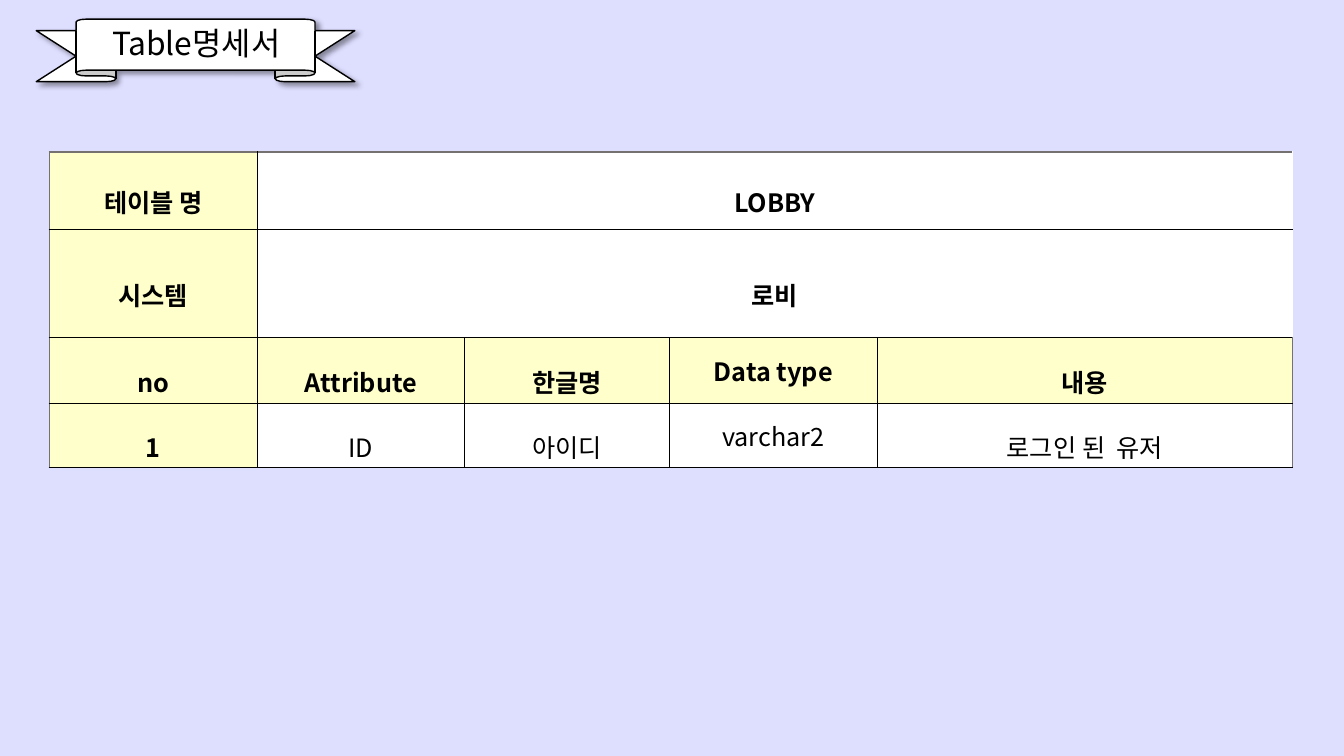
from dataclasses import dataclass

from lxml.etree import SubElement
from pptx import Presentation
from pptx.dml.color import RGBColor as Rgb
from pptx.enum.shapes import MSO_SHAPE as Preset
from pptx.enum.text import MSO_ANCHOR as Anchor, MSO_AUTO_SIZE as AutoSize, PP_ALIGN as Align
from pptx.oxml.ns import qn
from pptx.util import Inches, Pt


@dataclass(frozen=True)
class Theme:
    font: str = "Noto Sans CJK KR"
    title_size: float = 22.7
    cell_size: float = 18
    background: str = "DEDEFF"
    paper: str = "FFFFFF"
    label: str = "FFFFCC"
    ink: str = "000000"
    frame: str = "767171"
    thin: float = 1
    thick: float = 1.5


@dataclass(frozen=True)
class Entry:
    text: str
    label: bool = False
    bold: bool = True
    span: int = 1
    line_spacing: float = 1.6
    margin_y: float = 0.03


THEME = Theme()
COLUMN_WIDTHS = (2.06, 2.06, 2.03, 2.06, 4.12)
ROW_HEIGHTS = (0.77, 1.07, 0.65, 0.64)
LAST_COLUMN = len(COLUMN_WIDTHS) - 1
ROWS = (
    (Entry("테이블 명", label=True), Entry("LOBBY", span=4)),
    (Entry("시스템", label=True), Entry("로비", span=4)),
    (
        Entry("no", label=True),
        Entry("Attribute", label=True),
        Entry("한글명", label=True),
        Entry("Data type", label=True, line_spacing=1.0, margin_y=0.05),
        Entry("내용", label=True),
    ),
    (
        Entry("1", label=True),
        Entry("ID", bold=False),
        Entry("아이디", bold=False),
        Entry("varchar2", bold=False, line_spacing=1.0, margin_y=0.05),
        Entry("로그인 된  유저", bold=False),
    ),
)


def write(paragraph, text: str, size: float, bold: bool = False) -> None:
    paragraph.text = text
    paragraph.alignment = Align.CENTER
    font = paragraph.font
    font.size, font.bold, font.name = Pt(size), bold, THEME.font
    font.color.rgb = Rgb.from_string(THEME.ink)
    # East Asian glyphs take the same typeface
    defaults = paragraph._p.pPr.find(qn("a:defRPr"))
    SubElement(defaults, qn("a:ea"), typeface=THEME.font)


def paint(fill, color: str) -> None:
    fill.solid()
    fill.fore_color.rgb = Rgb.from_string(color)


def add_border(cell, side: str, outer: bool) -> None:
    width = THEME.thick if outer else THEME.thin
    color = THEME.frame if outer else THEME.ink
    properties = cell._tc.get_or_add_tcPr()
    border = SubElement(properties, qn(f"a:ln{side}"), w=str(Pt(width)))
    SubElement(SubElement(border, qn("a:solidFill")), qn("a:srgbClr"), val=color)


def style_cell(cell, row: int, column: int, first: int, last: int, label: bool) -> None:
    # Borders precede the fill in the cell properties
    if column == first:
        add_border(cell, "L", outer=column == 0)
    if column == last:
        add_border(cell, "R", outer=column == LAST_COLUMN)
    add_border(cell, "T", outer=row == 0)
    add_border(cell, "B", outer=False)
    paint(cell.fill, THEME.label if label else THEME.paper)


def add_entry(table, row: int, first: int, entry: Entry) -> None:
    last = first + entry.span - 1
    cell = table.cell(row, first)
    if entry.span > 1:
        cell.merge(table.cell(row, last))
    for column in range(first, last + 1):
        style_cell(table.cell(row, column), row, column, first, last, entry.label)
    cell.vertical_anchor = Anchor.MIDDLE
    cell.margin_left = cell.margin_right = Inches(0.1)
    cell.margin_top = cell.margin_bottom = Inches(entry.margin_y)
    paragraph = cell.text_frame.paragraphs[0]
    paragraph.line_spacing = entry.line_spacing
    write(paragraph, entry.text, THEME.cell_size, entry.bold)


def add_title(slide) -> None:
    # Ribbon with a soft shadow
    ribbon = slide.shapes.add_shape(
        Preset.UP_RIBBON, Inches(0.36), Inches(0.19), Inches(3.16), Inches(0.62))
    ribbon.adjustments[0], ribbon.adjustments[1] = 0.184, 0.75
    paint(ribbon.fill, THEME.paper)
    paint(ribbon.line.fill, THEME.ink)
    ribbon.line.width = Pt(THEME.thin)
    ribbon.shadow.inherit = False
    effects = ribbon._element.spPr.find(qn("a:effectLst"))
    shadow = SubElement(effects, qn("a:outerShdw"), blurRad=str(Pt(4)), dist=str(Pt(3)),
                        dir=str(45 * 60000), algn="tl", rotWithShape="0")
    tint = SubElement(shadow, qn("a:srgbClr"), val=THEME.ink)
    SubElement(tint, qn("a:alpha"), val="40000")

    # Title over the ribbon
    heading = slide.shapes.add_textbox(
        Inches(0.89), Inches(0.17), Inches(2.11), Inches(0.52)).text_frame
    heading.word_wrap = True
    heading.auto_size = AutoSize.SHAPE_TO_FIT_TEXT
    heading.margin_left = heading.margin_right = Inches(0.13)
    heading.margin_top = heading.margin_bottom = Inches(0.07)
    write(heading.paragraphs[0], "Table명세서", THEME.title_size)


def add_specification(slide) -> None:
    table = slide.shapes.add_table(
        len(ROW_HEIGHTS), len(COLUMN_WIDTHS), Inches(0.49), Inches(1.51),
        Inches(sum(COLUMN_WIDTHS)), Inches(sum(ROW_HEIGHTS))).table
    table.first_row = table.horz_banding = False
    for column, width in zip(table.columns, COLUMN_WIDTHS):
        column.width = Inches(width)
    for row, height in zip(table.rows, ROW_HEIGHTS):
        row.height = Inches(height)
    for row, entries in enumerate(ROWS):
        for column, entry in enumerate(entries):
            add_entry(table, row, column, entry)


def main() -> None:
    deck = Presentation()
    deck.slide_width, deck.slide_height = Inches(13.33), Inches(7.5)
    slide = deck.slides.add_slide(deck.slide_layouts[6])
    paint(slide.background.fill, THEME.background)
    add_title(slide)
    add_specification(slide)
    deck.save("out.pptx")


if __name__ == "__main__":
    main()
